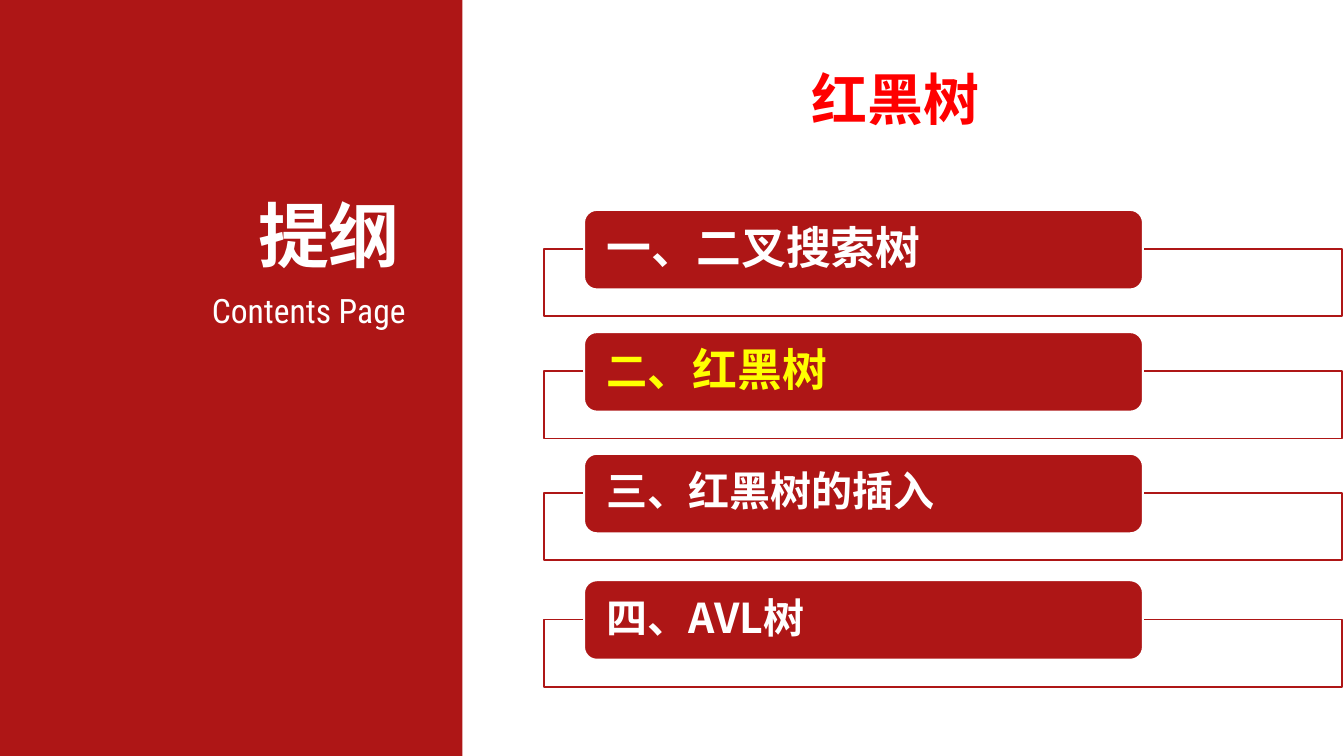
from pptx import Presentation
from pptx.dml.color import RGBColor
from pptx.enum.shapes import MSO_SHAPE
from pptx.enum.text import MSO_ANCHOR, MSO_AUTO_SIZE, PP_ALIGN
from pptx.oxml.ns import qn
from pptx.util import Cm, Pt
from lxml.etree import SubElement

RED, WHITE, YELLOW = "AE1616", "FFFFFF", "FFFF00"
HAN = "Noto Sans CJK SC"

# Bar top in cm, text colour, runs of (text, size, font)
ITEMS = [
    (3.97, WHITE, [("一、二叉搜索树", 24, "Karla")]),
    (6.28, YELLOW, [("二", 22, HAN), ("、红黑树", 24, HAN)]),
    (8.58, WHITE, [("三、红黑树的插入", 22, HAN)]),
    (10.97, WHITE, [("四、AVL树", 22, HAN)]),
]


def color(code):
    return RGBColor.from_string(code)


def write(shape, runs, tint=WHITE, bold=True, align=PP_ALIGN.LEFT,
          space=1.0, inset=(0.18, 0.1), anchor=MSO_ANCHOR.TOP):
    frame = shape.text_frame
    frame.word_wrap = True
    frame.vertical_anchor = anchor
    frame.margin_left = frame.margin_right = Cm(inset[0])
    frame.margin_top = frame.margin_bottom = Cm(inset[1])
    para = frame.paragraphs[0]
    para.alignment = align
    para.line_spacing = space
    for text, size, face in runs:
        run = para.add_run()
        run.text = text
        font = run.font
        font.name, font.size, font.bold = face, Pt(size), bold
        font.color.rgb = color(tint)
        # Chinese glyphs take the East Asian font
        SubElement(font._element, qn("a:ea"), typeface=HAN)


def label(slide, area, runs, grow=False, **style):
    box = slide.shapes.add_textbox(*map(Cm, area))
    write(box, runs, **style)
    if grow:
        box.text_frame.auto_size = MSO_AUTO_SIZE.SHAPE_TO_FIT_TEXT


def block(slide, area, fill, line=None, kind=MSO_SHAPE.RECTANGLE):
    shape = slide.shapes.add_shape(kind, *map(Cm, area))
    shape.shadow.inherit = False
    shape.fill.solid()
    shape.fill.fore_color.rgb = color(fill)
    if line:
        shape.line.color.rgb = color(line)
        shape.line.width = Pt(1)
    else:
        shape.line.fill.background()
    return shape


def fade(shape, share):
    tone = shape.fill._xPr.find(qn("a:solidFill"))[0]
    SubElement(tone, qn("a:alpha"), val=str(share * 1000))


def entry(slide, top, tint, runs):
    # Outlined frame behind the red bar
    frame = block(slide, (10.28, top + 0.74, 15.09, 1.27), WHITE, RED)
    fade(frame, 90)
    bar = block(slide, (11.04, top, 10.56, 1.5), RED, WHITE,
                MSO_SHAPE.ROUNDED_RECTANGLE)
    bar.adjustments[0] = 0.16
    write(bar, runs, tint=tint, space=0.9, inset=(0.36, 0.05),
          anchor=MSO_ANCHOR.MIDDLE)


def main():
    deck = Presentation()
    deck.slide_width, deck.slide_height = Cm(25.4), Cm(14.29)
    slide = deck.slides.add_slide(deck.slide_layouts[6])

    # Side panel
    block(slide, (0, 0, 8.74, 14.29), RED)
    label(slide, (0.86, 5.38, 6.99, 0.97),
          [("Contents Page", 18, "Roboto Condensed")],
          grow=True, bold=False, align=PP_ALIGN.RIGHT)
    label(slide, (2.79, 3.53, 4.95, 1.83), [("提纲", 38, "Arial")],
          grow=True, align=PP_ALIGN.RIGHT)

    # Title
    label(slide, (8.74, 0, 16.38, 3.07), [("红黑树", 30, "Arial")],
          tint="FF0000", align=PP_ALIGN.CENTER, space=1.5,
          inset=(0.25, 0.13), anchor=MSO_ANCHOR.MIDDLE)

    # Outline entries
    for top, tint, runs in ITEMS:
        entry(slide, top, tint, runs)

    deck.save("out.pptx")


if __name__ == "__main__":
    main()
